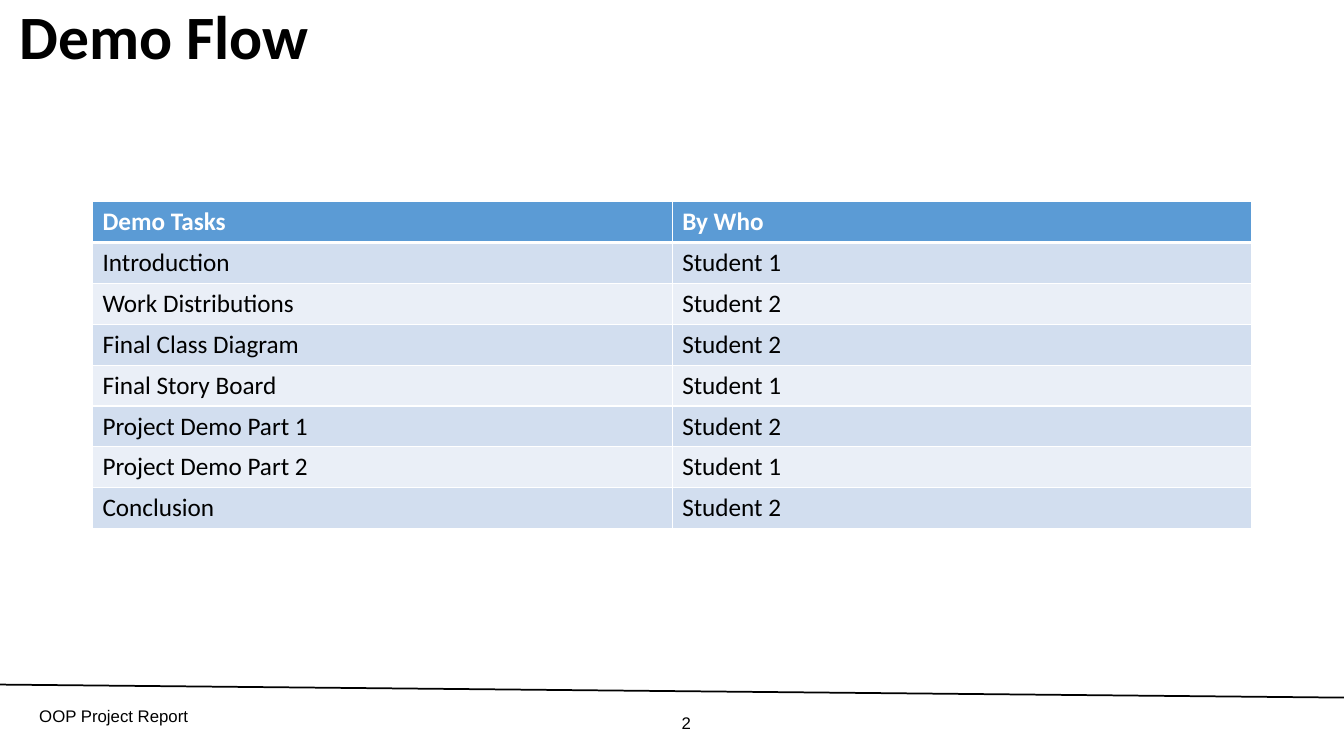
from lxml import etree
from pptx import Presentation
from pptx.dml.color import RGBColor
from pptx.enum.shapes import MSO_CONNECTOR
from pptx.enum.text import MSO_ANCHOR, PP_ALIGN
from pptx.oxml.ns import qn
from pptx.util import Cm, Pt

STRAIGHT = MSO_CONNECTOR.STRAIGHT
MIDDLE = MSO_ANCHOR.MIDDLE
LEFT, RIGHT = PP_ALIGN.LEFT, PP_ALIGN.RIGHT

TITLE = "Demo Flow"
FOOTER = "OOP Project Report"
PAGE_NUMBER = "2"
TASKS = [
    ("Demo Tasks", "By Who"),
    ("Introduction", "Student 1"),
    ("Work Distributions", "Student 2"),
    ("Final Class Diagram", "Student 2"),
    ("Final Story Board", "Student 1"),
    ("Project Demo Part 1", "Student 2"),
    ("Project Demo Part 2", "Student 1"),
    ("Conclusion", "Student 2"),
]
COLOURS = {
    "text": "000000",
    "white": "FFFFFF",
    "header": "5B9BD5",
    "odd": "D2DEEF",
    "even": "EAEFF7",
}
SLIDE_WIDTH, SLIDE_HEIGHT = 33.87, 19.05
TABLE_LEFT, TABLE_TOP = 2.33, 5.08
COLUMN_WIDTH, ROW_HEIGHT = 14.61, 1.03


def rgb(name):
    return RGBColor.from_string(COLOURS[name])


def write_text(frame, text, size=18, font="Calibri", colour="text",
               bold=False, align=LEFT, spacing=1.0):
    paragraph = frame.paragraphs[0]
    paragraph.alignment = align
    paragraph.line_spacing = spacing
    run = paragraph.add_run()
    run.text = text
    run.font.size = Pt(size)
    run.font.name = font
    run.font.bold = bold
    run.font.color.rgb = rgb(colour)


def add_text_box(slide, box, text, **text_format):
    frame = slide.shapes.add_textbox(*map(Cm, box)).text_frame
    frame.word_wrap = True
    frame.vertical_anchor = MIDDLE
    write_text(frame, text, **text_format)


def set_borders(cell, top=1, bottom=1):
    properties = cell._tc.get_or_add_tcPr()
    for side, points in (("L", 1), ("R", 1), ("T", top), ("B", bottom)):
        border = etree.SubElement(properties, qn(f"a:ln{side}"), w=str(Pt(points)))
        fill = etree.SubElement(border, qn("a:solidFill"))
        etree.SubElement(fill, qn("a:srgbClr"), val=COLOURS["white"])


def add_task_table(slide):
    columns = len(TASKS[0])
    table = slide.shapes.add_table(
        len(TASKS), columns, Cm(TABLE_LEFT), Cm(TABLE_TOP),
        Cm(COLUMN_WIDTH * columns), Cm(ROW_HEIGHT * len(TASKS))).table
    for column in table.columns:
        column.width = Cm(COLUMN_WIDTH)
    for row_index, values in enumerate(TASKS):
        table.rows[row_index].height = Cm(ROW_HEIGHT)
        is_header = row_index == 0
        band = "header" if is_header else ("even", "odd")[row_index % 2]
        for column_index, value in enumerate(values):
            cell = table.cell(row_index, column_index)
            set_borders(cell, top=3 if row_index == 1 else 1,
                        bottom=3 if is_header else 1)
            cell.fill.solid()
            cell.fill.fore_color.rgb = rgb(band)
            write_text(cell.text_frame, value, bold=is_header,
                       colour="white" if is_header else "text")


def add_footer_line(slide):
    line = slide.shapes.add_connector(
        STRAIGHT, Cm(0), Cm(17.25), Cm(SLIDE_WIDTH), Cm(17.58))
    line.line.color.rgb = rgb("text")
    line.line.width = Pt(1.25)
    etree.SubElement(line._element.spPr, qn("a:effectLst"))


def main():
    presentation = Presentation()
    presentation.slide_width = Cm(SLIDE_WIDTH)
    presentation.slide_height = Cm(SLIDE_HEIGHT)
    slide = presentation.slides.add_slide(presentation.slide_layouts[6])
    add_text_box(slide, (0.74, 17.53, 8.26, 1.02), FOOTER, size=12, font="Arial")
    add_text_box(slide, (14.38, 17.7, 3.28, 1.02), PAGE_NUMBER,
                 size=12, font="Arial", align=RIGHT)
    add_footer_line(slide)
    add_text_box(slide, (0.25, 0, 10.39, 2.01), TITLE,
                 size=44, bold=True, spacing=0.9)
    add_task_table(slide)
    presentation.save("out.pptx")


if __name__ == "__main__":
    main()
